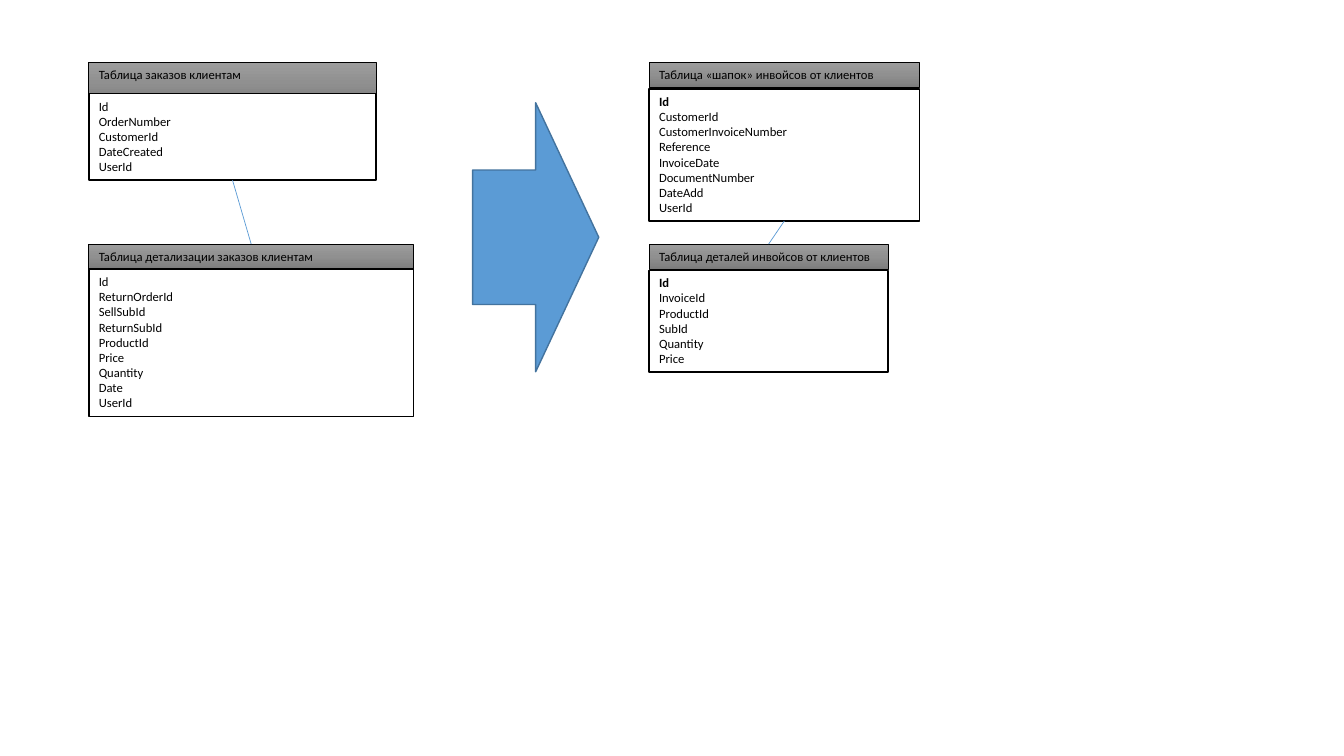
import copy
from dataclasses import dataclass

import pptx
import pptx.dml.color
import pptx.enum.shapes
import pptx.enum.text
import pptx.oxml
import pptx.oxml.ns
import pptx.util

Cm = pptx.util.Cm
Pt = pptx.util.Pt
RGB = pptx.dml.color.RGBColor.from_string
SHAPES = pptx.enum.shapes.MSO_SHAPE


@dataclass(frozen=True)
class Theme:
    font: str = "Calibri"
    text_size: float = 9
    black: str = "000000"
    white: str = "FFFFFF"
    blue: str = "5B9BD5"
    dark_blue: str = "43739E"
    header_gradient: tuple = ("9D9D9D", "909090", "7C7C7C")
    thin: float = 0.5
    thick: float = 1


theme = Theme()


def write_lines(shape, lines, size=theme.text_size, color=theme.black, bold_first=False):
    frame = shape.text_frame
    frame.word_wrap = True
    frame.auto_size = pptx.enum.text.MSO_AUTO_SIZE.SHAPE_TO_FIT_TEXT
    frame.vertical_anchor = pptx.enum.text.MSO_ANCHOR.TOP
    for index, line in enumerate(lines):
        paragraph = frame.paragraphs[0] if index == 0 else frame.add_paragraph()
        paragraph.alignment = pptx.enum.text.PP_ALIGN.LEFT
        run = paragraph.add_run()
        run.text = line
        run.font.name = theme.font
        run.font.size = Pt(size)
        run.font.bold = bold_first and index == 0
        run.font.color.rgb = RGB(color)


def add_box(kind, left, top, width, height, fill, line, line_width):
    shape = slide.shapes.add_shape(kind, Cm(left), Cm(top), Cm(width), Cm(height))
    shape.shadow.inherit = False
    shape.line.color.rgb = RGB(line)
    shape.line.width = Pt(line_width)
    if isinstance(fill, str):
        shape.fill.solid()
        shape.fill.fore_color.rgb = RGB(fill)
    else:
        # Top-to-bottom gradient with an added middle stop
        shape.fill.gradient()
        shape.fill.gradient_angle = 270
        stops = shape._element.spPr.find(".//" + pptx.oxml.ns.qn("a:gsLst"))
        stops.insert(1, copy.deepcopy(stops[0]))
        for stop, position, color in zip(shape.fill.gradient_stops, (0, 0.5, 1), fill):
            stop.position = position
            stop.color.rgb = RGB(color)
    return shape


presentation = pptx.Presentation()
presentation.slide_width = Cm(33.87)
presentation.slide_height = Cm(19.05)
slide = presentation.slides.add_slide(presentation.slide_layouts[6])

# Database tables: title, left, top, width, header height, body top, body height, bold key, fields
left_column, right_column = 2.24, 16.36
upper_row, lower_row = 1.57, 6.15
tables = [
    ("Таблица заказов клиентам", left_column, upper_row, 7.24, 1.02, 2.36, 2.18, False,
     ["Id", "OrderNumber", "CustomerId", "DateCreated", "UserId"]),
    ("Таблица детализации заказов клиентам", left_column, lower_row, 8.18, 0.64, 6.78, 3.71, False,
     ["Id", "ReturnOrderId", "SellSubId", "ReturnSubId", "ProductId", "Price",
      "Quantity", "Date", "UserId"]),
    ("Таблица «шапок» инвойсов от клиентов", right_column, upper_row, 6.81, 0.64, 2.24, 3.33, True,
     ["Id", "CustomerId", "CustomerInvoiceNumber", "Reference", "InvoiceDate",
      "DocumentNumber", "DateAdd", "UserId"]),
    ("Таблица деталей инвойсов от клиентов", right_column, lower_row, 6.02, 0.64, 6.81, 2.57, True,
     ["Id", "InvoiceId", "ProductId", "SubId", "Quantity", "Price"]),
]
headers, bodies = [], []
for title, left, top, width, header_height, body_top, body_height, bold_key, fields in tables:
    header = add_box(SHAPES.RECTANGLE, left, top, width, header_height,
                     theme.header_gradient, theme.black, theme.thin)
    write_lines(header, [title])
    headers.append(header)
    body = add_box(SHAPES.RECTANGLE, left, body_top, width, body_height,
                   theme.white, theme.black, theme.thick)
    write_lines(body, fields, bold_first=bold_key)
    bodies.append(body)

# Arrow from orders to invoices
add_box(SHAPES.RIGHT_ARROW, 11.91, 2.59, 3.18, 6.78, theme.blue, theme.dark_blue, theme.thick)

# Links from each upper table to the detail table below it
bottom_site, top_site = 2, 0
for upper, lower in ((0, 1), (2, 3)):
    link = slide.shapes.add_connector(pptx.enum.shapes.MSO_CONNECTOR.STRAIGHT, 0, 0, 0, 0)
    link.begin_connect(bodies[upper], bottom_site)
    link.end_connect(headers[lower], top_site)
    link.line.color.rgb = RGB(theme.blue)
    link.line.width = Pt(theme.thin)
    link._element.spPr.append(pptx.oxml.parse_xml(
        "<a:effectLst %s/>" % pptx.oxml.ns.nsdecls("a")))

presentation.save("out.pptx")
